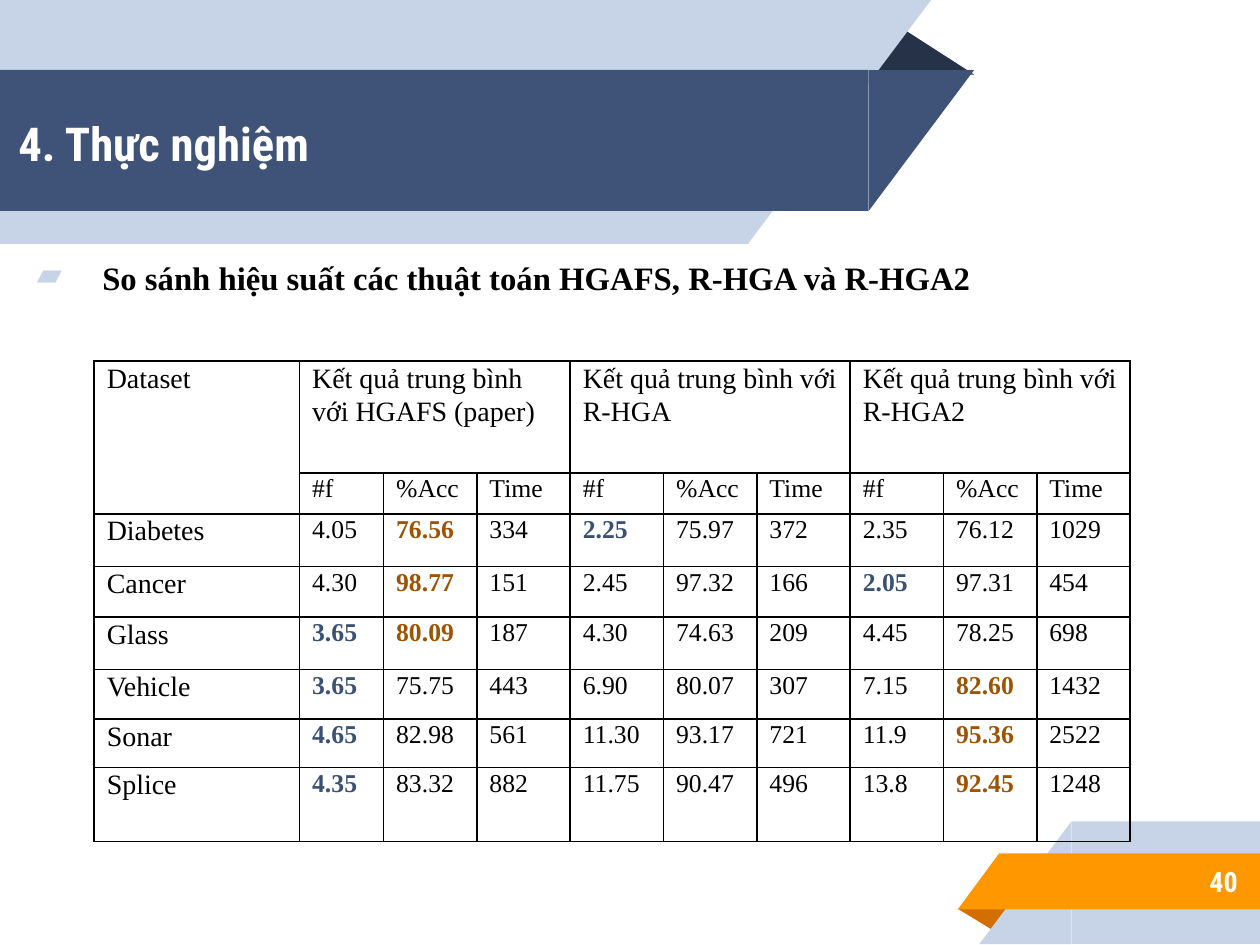
from lxml.etree import SubElement
from pptx import Presentation
from pptx.dml.color import RGBColor
from pptx.enum.shapes import MSO_SHAPE
from pptx.enum.text import MSO_ANCHOR, PP_ALIGN
from pptx.oxml.ns import qn
from pptx.util import Pt

# Colours and fonts
BLACK = RGBColor(0x00, 0x00, 0x00)
WHITE = RGBColor(0xFF, 0xFF, 0xFF)
NAVY = RGBColor(0x3F, 0x53, 0x78)
DARK_NAVY = RGBColor(0x26, 0x32, 0x48)
PALE_BLUE = RGBColor(0xC7, 0xD3, 0xE6)
ORANGE = RGBColor(0xFF, 0x98, 0x00)
DARK_ORANGE = RGBColor(0xD2, 0x6F, 0x00)
BEST_FEATURES = RGBColor(0x3A, 0x51, 0x72)
BEST_ACCURACY = RGBColor(0x9D, 0x53, 0x00)
HEADING_FONT = "Roboto Condensed"
BODY_FONT = "Times New Roman"

# Content
TITLE = "4. Thực nghiệm"
PAGE_NUMBER = "40"
SUBTITLE = "So sánh hiệu suất các thuật toán HGAFS, R-HGA và R-HGA2"
METHODS = ["Kết quả trung bình với HGAFS (paper)",
           "Kết quả trung bình với R-HGA",
           "Kết quả trung bình với R-HGA2"]
MEASURES = ["#f", "%Acc", "Time"]
RESULTS = [
    ("Diabetes", "4.05", "76.56", "334", "2.25", "75.97", "372", "2.35", "76.12", "1029"),
    ("Cancer", "4.30", "98.77", "151", "2.45", "97.32", "166", "2.05", "97.31", "454"),
    ("Glass", "3.65", "80.09", "187", "4.30", "74.63", "209", "4.45", "78.25", "698"),
    ("Vehicle", "3.65", "75.75", "443", "6.90", "80.07", "307", "7.15", "82.60", "1432"),
    ("Sonar", "4.65", "82.98", "561", "11.30", "93.17", "721", "11.9", "95.36", "2522"),
    ("Splice", "4.35", "83.32", "882", "11.75", "90.47", "496", "13.8", "92.45", "1248"),
]
COLUMN_WIDTHS = [88, 36] + [40] * 8
ROW_HEIGHTS = [48, 17.5, 22.5, 21.75, 22.5, 21.25, 20.75, 31.75]

# Ribbons: left, top, straight width, slanted width, height, colour
TOP_RIBBONS = [(0, 0, 320.5, 78.5, 104.5, PALE_BLUE),
               (0, 30, 372.25, 45.25, 60.5, NAVY)]
BOTTOM_RIBBONS = [(419.75, 352, 81, 39.5, 52.6, PALE_BLUE),
                  (410.5, 365.75, 112, 17.75, 24, ORANGE)]

presentation = Presentation()
presentation.slide_width, presentation.slide_height = Pt(540), Pt(405)
slide = presentation.slides.add_slide(presentation.slide_layouts[6])


def add_filled(kind, left, top, width, height, color):
    shape = slide.shapes.add_shape(kind, Pt(left), Pt(top), Pt(width), Pt(height))
    shape.shadow.inherit = False
    shape.fill.solid()
    shape.fill.fore_color.rgb = color
    shape.line.fill.background()
    return shape


def add_fold(left, top, width, height, color, rotation=0):
    fold = add_filled(MSO_SHAPE.ISOSCELES_TRIANGLE, left, top, width, height, color)
    fold.adjustments[0] = 0.324
    fold.rotation = rotation


def add_slant(left, top, width, height, color, rotation=0):
    slant = add_filled(MSO_SHAPE.RIGHT_TRIANGLE, left, top, width, height, color)
    slant.rotation = rotation
    slant.element.spPr.xfrm.set("flipH", "1")


def write(paragraph, text, size, color=BLACK, bold=False, font=BODY_FONT,
          align=PP_ALIGN.LEFT):
    paragraph.text = text
    paragraph.alignment = align
    paragraph.font.name = font
    paragraph.font.size = Pt(size)
    paragraph.font.bold = bold
    paragraph.font.color.rgb = color


def add_text_box(left, top, width, height, anchor=MSO_ANCHOR.MIDDLE):
    frame = slide.shapes.add_textbox(Pt(left), Pt(top), Pt(width), Pt(height)).text_frame
    frame.word_wrap = True
    frame.vertical_anchor = anchor
    frame.margin_left = frame.margin_right = Pt(7.2)
    frame.margin_top = frame.margin_bottom = Pt(7.2)
    return frame.paragraphs[0]


def fill_cell(cell, text, size, align=PP_ALIGN.JUSTIFY, color=BLACK, bold=False):
    cell.margin_left = cell.margin_right = Pt(5.4)
    cell.margin_top = cell.margin_bottom = 0
    write(cell.text_frame.paragraphs[0], text, size, color, bold, align=align)
    cell.text_frame.paragraphs[0].line_spacing = 1.07


def outline_cell(cell):
    properties = cell._tc.get_or_add_tcPr()
    for side in ("a:lnL", "a:lnR", "a:lnT", "a:lnB"):
        line = SubElement(properties, qn(side), w=str(Pt(0.75)))
        SubElement(SubElement(line, qn("a:solidFill")), qn("a:srgbClr"), val=str(BLACK))
    cell.fill.background()


# Title ribbons
add_fold(371.5, 12, 46, 20, DARK_NAVY)
for left, top, straight, slanted, height, color in TOP_RIBBONS:
    add_filled(MSO_SHAPE.RECTANGLE, left, top, straight, height, color)
    add_slant(left + straight, top, slanted, height, color, rotation=180)

# Page number ribbons
add_fold(410.5, 389.5, 23, 9.5, DARK_ORANGE, rotation=180)
for left, top, straight, slanted, height, color in BOTTOM_RIBBONS:
    add_filled(MSO_SHAPE.RECTANGLE, left + slanted, top, 540 - left - slanted, height, color)
    add_slant(left, top, slanted, height, color)

# Title and page number
write(add_text_box(0.75, 31, 386.5, 60.5), TITLE, 20, WHITE, True, HEADING_FONT)
write(add_text_box(450, 365, 87.5, 25.5), PAGE_NUMBER, 12, WHITE, True,
      HEADING_FONT, PP_ALIGN.RIGHT)

# Bulleted subtitle
subtitle = add_text_box(0.75, 102.25, 522.5, 46, MSO_ANCHOR.TOP)
subtitle.line_spacing = 1.07
subtitle.space_before, subtitle.space_after = Pt(6), Pt(8)
bullet = subtitle._p.get_or_add_pPr()
bullet.set("marL", str(Pt(36)))
bullet.set("indent", str(Pt(-28)))
SubElement(SubElement(bullet, qn("a:buClr")), qn("a:srgbClr"), val=str(PALE_BLUE))
SubElement(bullet, qn("a:buChar"), char="▰")
write(subtitle, SUBTITLE, 14, bold=True)

# Results table
table = slide.shapes.add_table(len(ROW_HEIGHTS), len(COLUMN_WIDTHS), Pt(40.4), Pt(154.75),
                               Pt(sum(COLUMN_WIDTHS)), Pt(sum(ROW_HEIGHTS))).table
table.first_row = table.horz_banding = False
for column, width in zip(table.columns, COLUMN_WIDTHS):
    column.width = Pt(width)
for row, height in zip(table.rows, ROW_HEIGHTS):
    row.height = Pt(height)
for cell in table.iter_cells():
    outline_cell(cell)

# Table header
table.cell(0, 0).merge(table.cell(1, 0))
fill_cell(table.cell(0, 0), "Dataset", 12)
for index, method in enumerate(METHODS):
    first = 1 + index * len(MEASURES)
    table.cell(0, first).merge(table.cell(0, first + len(MEASURES) - 1))
    fill_cell(table.cell(0, first), method, 12, PP_ALIGN.LEFT)
    for offset, measure in enumerate(MEASURES):
        fill_cell(table.cell(1, first + offset), measure, 11)

# Table body: fewest features and highest accuracy stand out
for row, (dataset, *values) in enumerate(RESULTS, start=2):
    fill_cell(table.cell(row, 0), dataset, 12)
    fewest = min(values[0::3], key=float)
    highest = max(values[1::3], key=float)
    for index, value in enumerate(values):
        measure = MEASURES[index % 3]
        color = BLACK
        if measure == "#f" and value == fewest:
            color = BEST_FEATURES
        elif measure == "%Acc" and value == highest:
            color = BEST_ACCURACY
        fill_cell(table.cell(row, index + 1), value, 11, color=color, bold=color != BLACK)

presentation.save("out.pptx")
